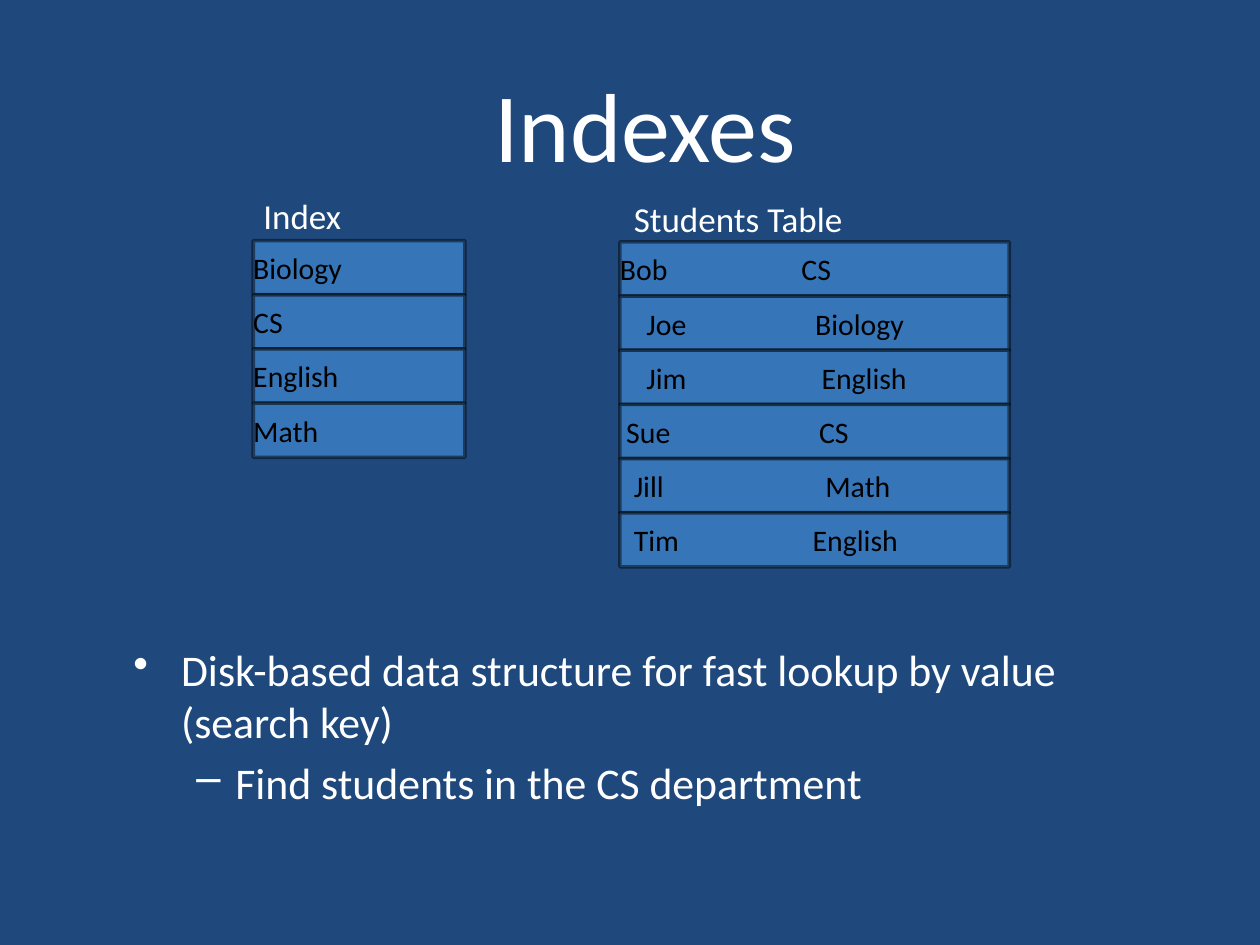
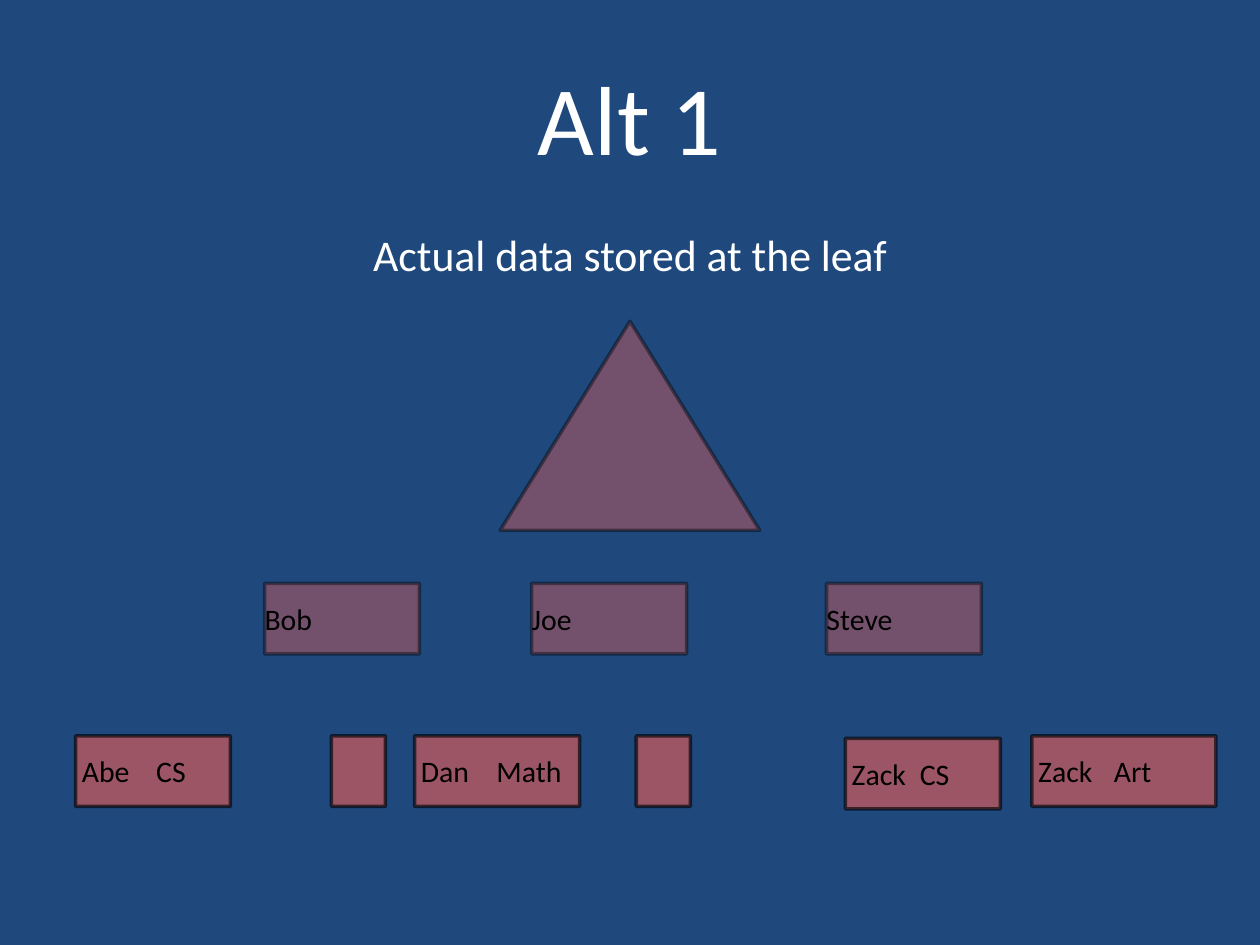
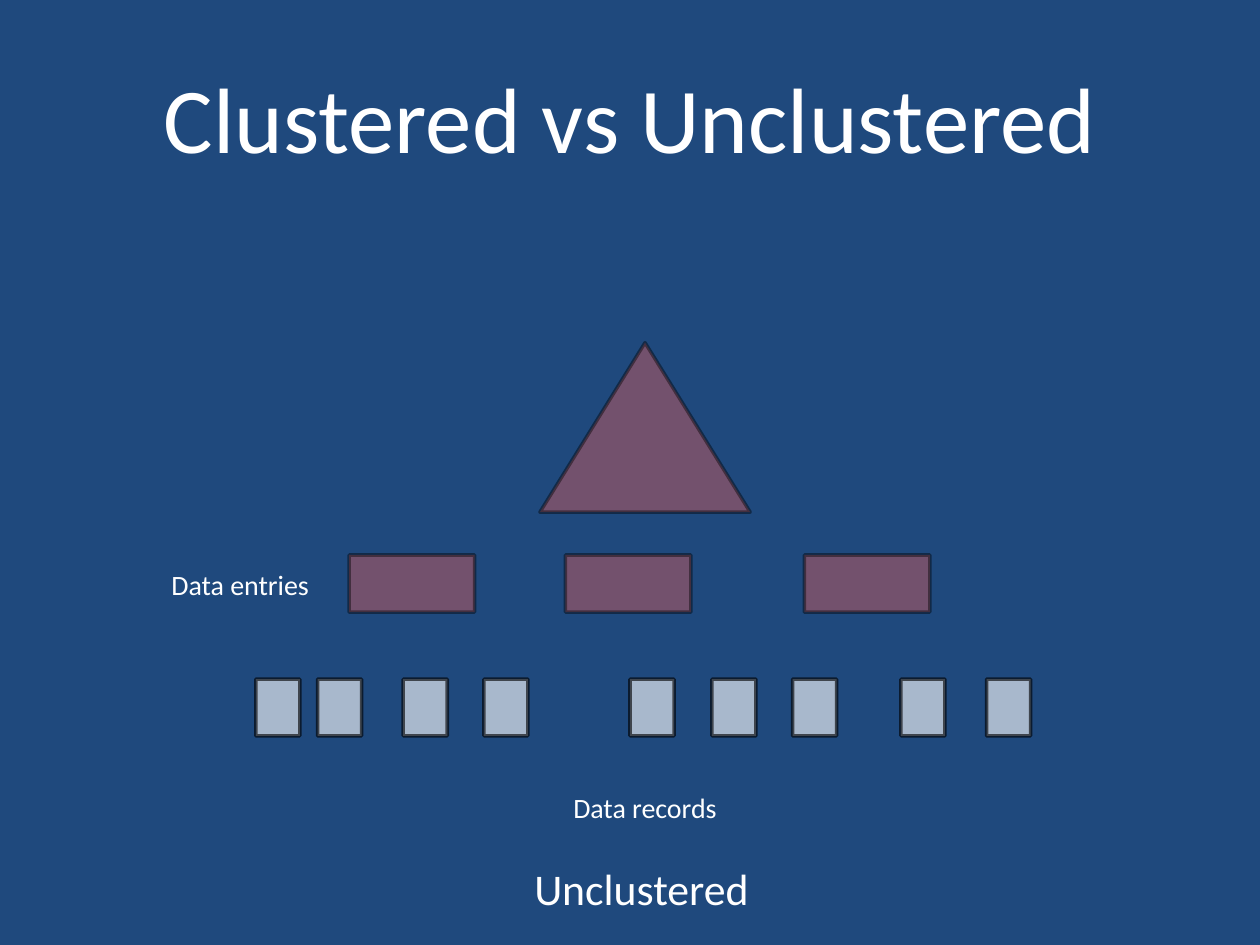
from lxml.etree import SubElement
from pptx import Presentation
from pptx.dml.color import RGBColor
from pptx.enum.shapes import MSO_SHAPE as SHAPE
from pptx.enum.text import MSO_ANCHOR as ANCHOR, MSO_AUTO_SIZE as AUTO, PP_ALIGN as ALIGN
from pptx.oxml.ns import qn
from pptx.util import Inches, Pt

FONT = "Calibri"
COLORS = {"back": "1F497D", "white": "FFFFFF", "ink": "000000",
          "blue": "51A7F9", "red": "EC5D57"}
# Fill colour and opacity in percent
ROW = ("blue", 47)
NODE = ("red", 41)
LEAF = ("red", 61)
RECORD = ("white", 61)


def rgb(name):
    """Return a palette colour."""
    return RGBColor.from_string(COLORS[name])


def add_run(p, text, size, color="white"):
    """Add one formatted run to a paragraph."""
    r = p.add_run()
    r.text = text
    r.font.name, r.font.size = FONT, Pt(size)
    r.font.color.rgb = rgb(color)


def set_alpha(fill, percent):
    """Make a solid fill partly transparent."""
    clr = fill._xPr.find(qn("a:solidFill"))[0]
    SubElement(clr, qn("a:alpha")).set("val", str(percent * 1000))


def add_tab(p, pos):
    """Give a paragraph one left tab stop."""
    tabs = SubElement(p._p.get_or_add_pPr(), qn("a:tabLst"))
    tab = SubElement(tabs, qn("a:tab"))
    tab.set("pos", str(Inches(pos)))
    tab.set("algn", "l")


def add_bullet(p, char, left, hang):
    """Give a paragraph a bullet with a hanging indent."""
    pPr = p._p.get_or_add_pPr()
    pPr.set("marL", str(Inches(left)))
    pPr.set("indent", str(Inches(-hang)))
    SubElement(pPr, qn("a:buChar")).set("char", char)


def add_block(s, x, y, w, h, style, cells=(), indent=0, column=0, kind=SHAPE.RECTANGLE):
    """Add a translucent block; a second cell starts at the column offset."""
    sp = s.shapes.add_shape(kind, Inches(x), Inches(y), Inches(w), Inches(h))
    sp.shadow.inherit = False
    color, alpha = style
    for fill, name in ((sp.fill, color), (sp.line.fill, "ink")):
        fill.solid()
        fill.fore_color.rgb = rgb(name)
        set_alpha(fill, alpha)
    sp.line.width = Pt(2)
    if cells:
        tf = sp.text_frame
        tf.margin_left = Inches(indent)
        tf.margin_top = tf.margin_right = tf.margin_bottom = 0
        tf.vertical_anchor = ANCHOR.MIDDLE
        p = tf.paragraphs[0]
        p.alignment = ALIGN.LEFT
        if len(cells) > 1:
            add_tab(p, column - indent)
        add_run(p, "\t".join(cells), 17, "ink")


def add_text(s, x, y, w, h):
    """Add a wrapping text box and return its frame."""
    tf = s.shapes.add_textbox(Inches(x), Inches(y), Inches(w), Inches(h)).text_frame
    tf.word_wrap = True
    return tf


def add_label(s, x, y, w, h, text, size):
    """Add a one-line label that fits its text."""
    tf = add_text(s, x, y, w, h)
    tf.word_wrap = False
    tf.auto_size = AUTO.SHAPE_TO_FIT_TEXT
    tf.margin_left = tf.margin_right = tf.margin_top = tf.margin_bottom = Inches(0.04)
    tf.vertical_anchor = ANCHOR.MIDDLE
    add_run(tf.paragraphs[0], text, size)


def new_slide(prs, title, size=56, x=0.5, y=0.3):
    """Add a blank slide with the shared background and title."""
    s = prs.slides.add_slide(prs.slide_layouts[6])
    s.background.fill.solid()
    s.background.fill.fore_color.rgb = rgb("back")
    tf = add_text(s, x, y, 9, 1.25)
    tf.vertical_anchor = ANCHOR.MIDDLE
    p = tf.paragraphs[0]
    p.alignment = ALIGN.CENTER
    add_run(p, title, size)
    return s


def add_rows(s, x, y, w, rows):
    """Stack rows of (indent, column, cells) below a top left corner."""
    h = 0.43
    for i, (indent, column, cells) in enumerate(rows):
        add_block(s, x, y + i * h, w, h, ROW, cells, indent, column)


def add_tree(s, x, y, w, names=()):
    """Draw a triangle over three data entries, scaled to a width."""
    k = w / 5.69
    add_block(s, x + 1.87 * k, y, 2.06 * k, 1.66 * k, NODE, kind=SHAPE.ISOSCELES_TRIANGLE)
    for i, dx in enumerate((0, 2.12, 4.46)):
        add_block(s, x + dx * k, y + 2.08 * k, 1.23 * k, 0.56 * k, NODE, names[i:i + 1])


def indexes_slide(prs):
    """Index and table side by side above the definition."""
    s = new_slide(prs, "Indexes", x=0.62, y=0.35)
    tf = add_text(s, 0.96, 5.05, 8.54, 1.85)
    points = [("Disk-based data structure for fast lookup by value (search key)", "•", 0.38, 0.38),
              ("Find students in the CS department", "–", 0.81, 0.31)]
    for i, (text, char, left, hang) in enumerate(points):
        p = tf.add_paragraph() if i else tf.paragraphs[0]
        p.level = i
        p.space_before = Pt(5)
        add_bullet(p, char, left, hang)
        add_run(p, text, 25)
    add_rows(s, 2.01, 1.91, 1.68,
             [(0, 0, [name]) for name in ("Biology", "CS", "English", "Math")])
    add_rows(s, 4.92, 1.92, 3.09, [
        (0, 1.44, ["Bob", "CS"]), (0.21, 1.55, ["Joe", "Biology"]),
        (0.21, 1.6, ["Jim", "English"]), (0.05, 1.58, ["Sue", "CS"]),
        (0.11, 1.63, ["Jill", "Math"]), (0.11, 1.53, ["Tim", "English"])])
    add_label(s, 4.99, 1.52, 1.77, 0.42, "Students Table", 20)
    add_label(s, 2.05, 1.5, 0.71, 0.42, "Index", 20)


def leaf_data_slide(prs):
    """Tree whose leaves hold the data."""
    s = new_slide(prs, "Alt 1")
    p = add_text(s, 0.73, 1.76, 8.54, 0.68).paragraphs[0]
    p.alignment = ALIGN.CENTER
    p.space_before = Pt(5)
    add_run(p, "Actual data stored at the leaf", 25)
    add_tree(s, 2.1, 2.55, 5.69, ["Bob", "Joe", "Steve"])
    leaves = [(0.6, 5.84, 1.23, 0.64, ["Abe", "CS"]), (2.63, 5.84, 0.43, 0, []),
              (3.29, 5.84, 1.31, 0.65, ["Dan", "Math"]), (5.05, 5.84, 0.43, 0, []),
              (6.71, 5.86, 1.23, 0.59, ["Zack", "CS"]), (8.19, 5.84, 1.46, 0.65, ["Zack", "Art"])]
    for x, y, w, column, cells in leaves:
        add_block(s, x, y, w, 0.56, LEAF, cells, 0.05, column)


def clustering_slide(prs):
    """Tree over separate data records."""
    s = new_slide(prs, "Clustered vs Unclustered", 53)
    add_tree(s, 2.77, 2.72, 4.61)
    for x in (2.03, 2.52, 3.2, 3.84, 5, 5.65, 6.29, 7.15, 7.83):
        add_block(s, x, 5.39, 0.35, 0.45, RECORD)
    add_label(s, 1.32, 4.46, 1.19, 0.35, "Data entries", 16)
    add_label(s, 4.51, 6.23, 1.24, 0.35, "Data records", 16)
    add_label(s, 4.2, 6.8, 1.81, 0.5, "Unclustered", 25)


prs = Presentation()
prs.slide_width, prs.slide_height = Inches(10), Inches(7.5)
indexes_slide(prs)
leaf_data_slide(prs)
clustering_slide(prs)
prs.save("out.pptx")
